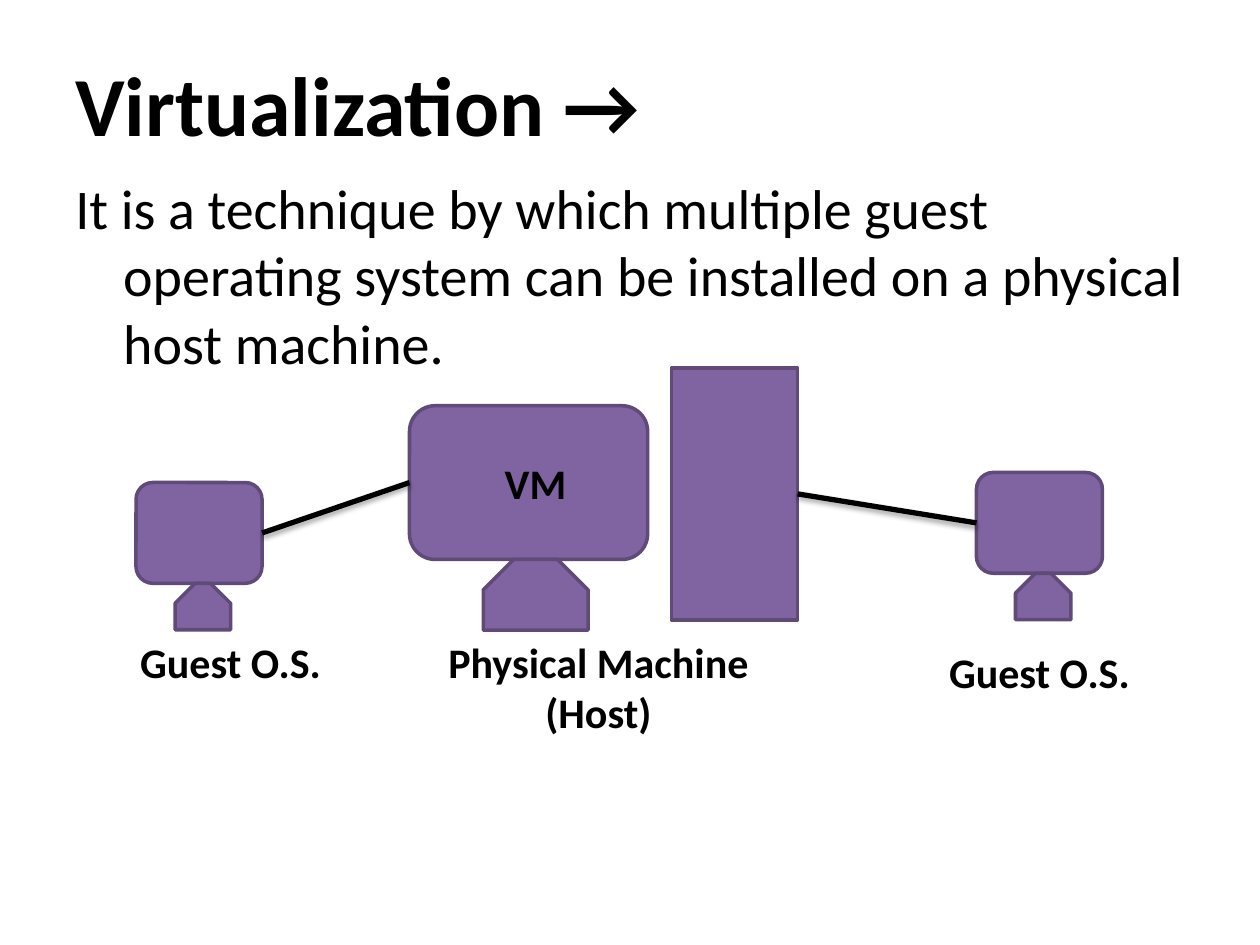
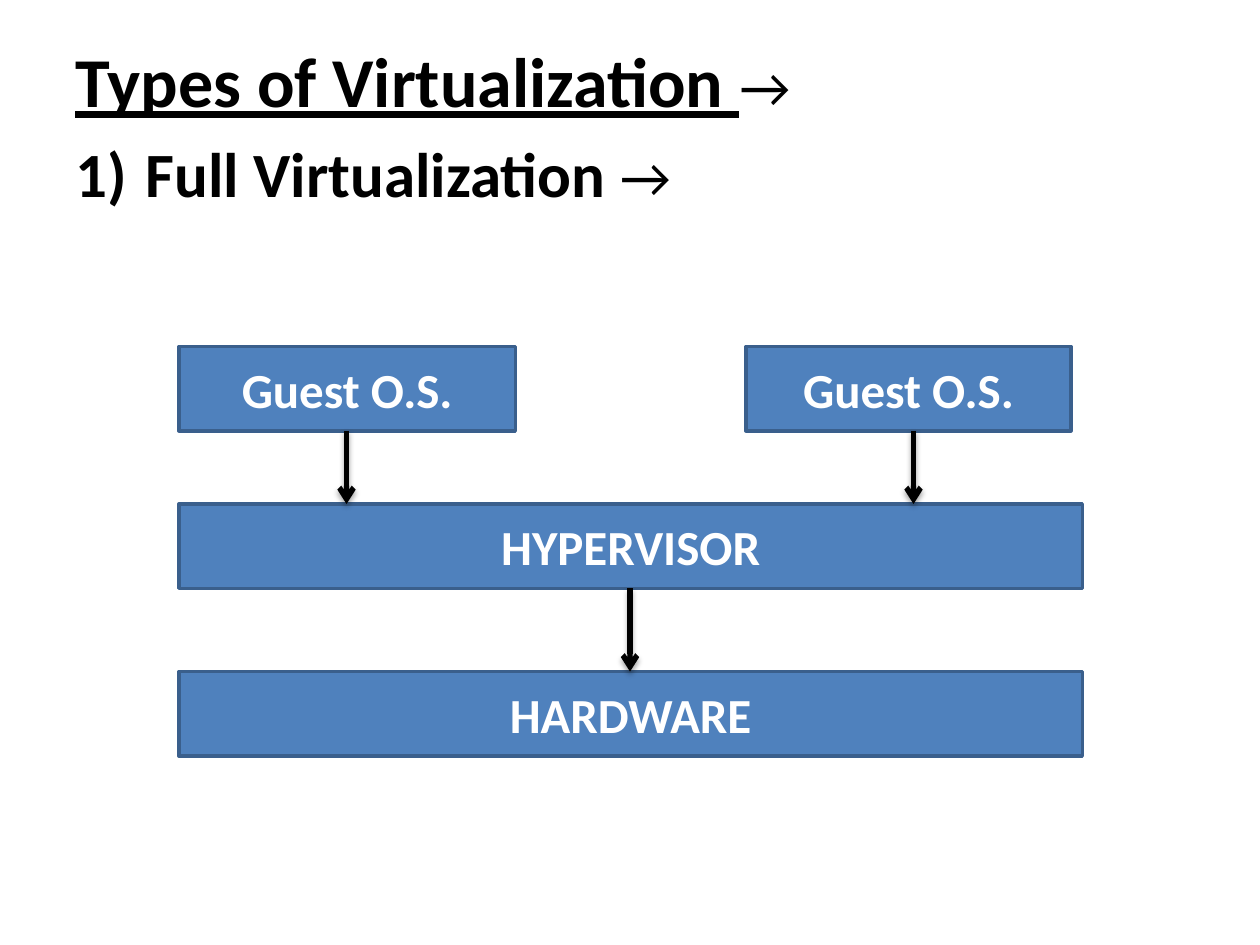
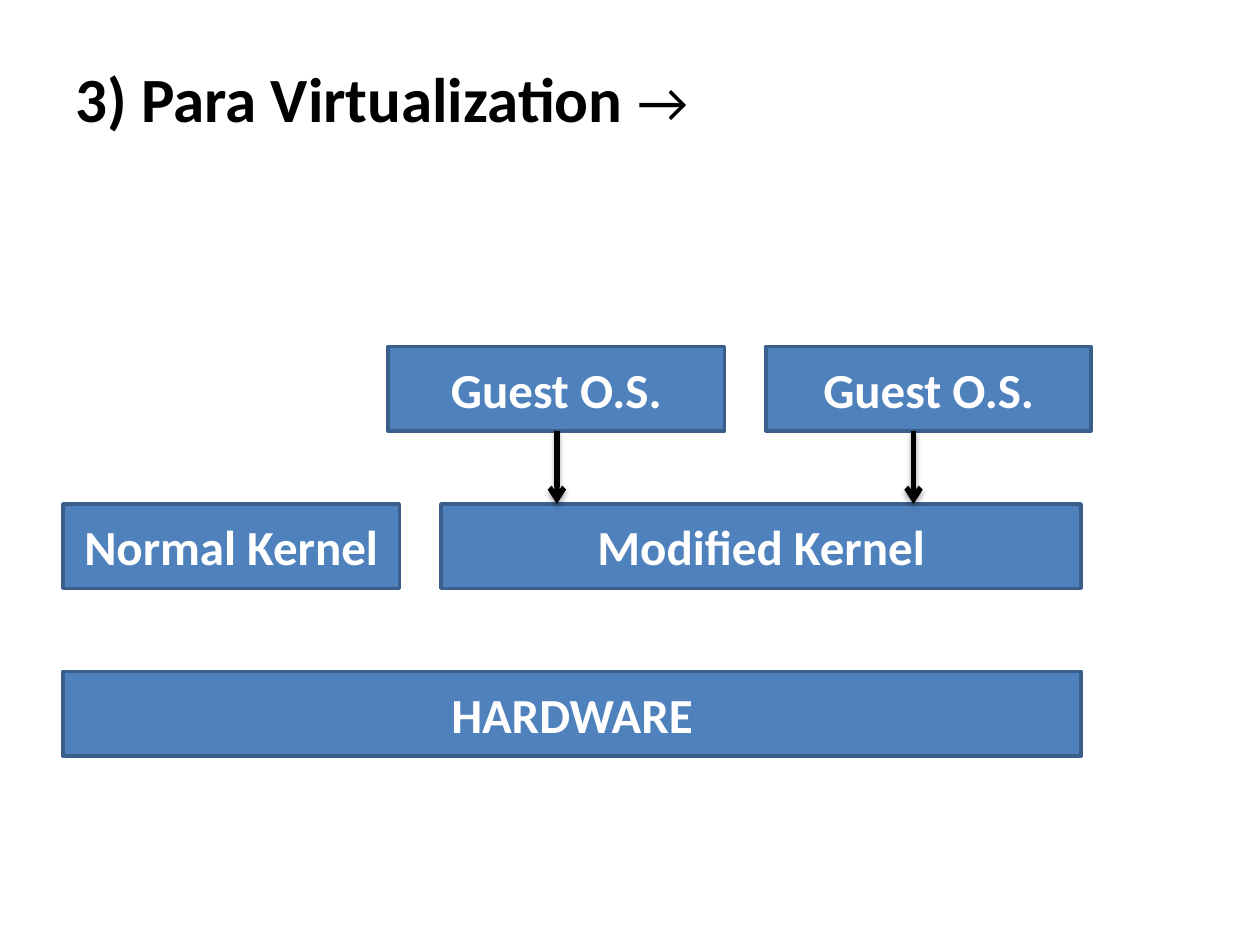
from lxml.etree import SubElement
from pptx import Presentation
from pptx.dml.color import RGBColor
from pptx.enum.shapes import MSO_CONNECTOR, MSO_SHAPE
from pptx.enum.text import MSO_ANCHOR, PP_ALIGN
from pptx.oxml.ns import qn
from pptx.util import Inches, Pt

# Shared style
FONT = "Calibri"
BLACK = RGBColor(0x00, 0x00, 0x00)
WHITE = RGBColor(0xFF, 0xFF, 0xFF)
PURPLE = RGBColor(0x80, 0x64, 0xA2)
PURPLE_EDGE = RGBColor(0x5F, 0x4A, 0x78)
BLUE = RGBColor(0x4F, 0x81, 0xBD)
BLUE_EDGE = RGBColor(0x3A, 0x5F, 0x8C)
ARROW = "\u2192"

# Rows of the layer diagrams
BOX_HEIGHT = 0.67
GUEST_TOP, KERNEL_TOP, HARDWARE_TOP = 2.75, 4, 5.33


class Deck:
    def __init__(self):
        self.presentation = Presentation()
        self.presentation.slide_width = Inches(10)
        self.presentation.slide_height = Inches(7.5)
        self.slide = None

    def new_slide(self):
        self.slide = self.presentation.slides.add_slide(self.presentation.slide_layouts[6])

    def format_run(self, run, size, bold=False, underline=False, color=BLACK):
        run.font.name = FONT
        run.font.size = Pt(size)
        run.font.bold = bold
        run.font.underline = underline
        run.font.color.rgb = color

    def text_box(self, left, top, width, height, anchor=MSO_ANCHOR.TOP):
        box = self.slide.shapes.add_textbox(
            Inches(left), Inches(top), Inches(width), Inches(height))
        box.text_frame.word_wrap = True
        box.text_frame.vertical_anchor = anchor
        return box.text_frame

    def title(self, text):
        frame = self.text_box(0.5, 0.3, 9, 1.03, MSO_ANCHOR.MIDDLE)
        frame.text = text
        self.format_run(frame.paragraphs[0].runs[0], 48, True)

    def body_paragraph(self, paragraph, runs, indent=0.38, numbered=False):
        """Each run is (text, size, bold, underline); the first line hangs."""
        paragraph.space_before = Pt(0.2 * runs[0][1])
        properties = paragraph._p.get_or_add_pPr()
        properties.set("marL", str(Inches(indent)))
        properties.set("indent", str(-Inches(indent)))
        if numbered:
            SubElement(properties, qn("a:buAutoNum"), type="arabicParenR")
        for text, *style in runs:
            run = paragraph.add_run()
            run.text = text
            self.format_run(run, *style)

    def label(self, text, left, top, width=3, height=0.5):
        frame = self.text_box(left, top, width, height)
        frame.text = text
        for paragraph in frame.paragraphs:
            paragraph.alignment = PP_ALIGN.CENTER
            self.format_run(paragraph.runs[0], 24, True)

    def shape(self, kind, left, top, width, height, fill, edge, parent=None):
        shapes = (parent or self.slide).shapes
        shape = shapes.add_shape(
            kind, Inches(left), Inches(top), Inches(width), Inches(height))
        shape.shadow.inherit = False
        shape.fill.solid()
        shape.fill.fore_color.rgb = fill
        shape.line.color.rgb = edge
        shape.line.width = Pt(2)
        return shape

    def monitor(self, left, top, width, height):
        """A screen with its stand, in proportion to the screen."""
        group = self.slide.shapes.add_group_shape()
        self.shape(MSO_SHAPE.ROUNDED_RECTANGLE, left, top, width, height,
                   PURPLE, PURPLE_EDGE, group)
        stand = self.shape(MSO_SHAPE.SNIP_2_SAME_RECTANGLE,
                           left + 0.31 * width, top + height,
                           0.44 * width, 0.46 * height,
                           PURPLE, PURPLE_EDGE, group)
        stand.adjustments[0] = 0.43
        stand.adjustments[1] = 0

    def layer(self, text, left, top, width):
        box = self.shape(MSO_SHAPE.RECTANGLE, left, top, width, BOX_HEIGHT,
                         BLUE, BLUE_EDGE)
        frame = box.text_frame
        frame.word_wrap = True
        frame.vertical_anchor = MSO_ANCHOR.MIDDLE
        frame.text = text
        frame.paragraphs[0].alignment = PP_ALIGN.CENTER
        self.format_run(frame.paragraphs[0].runs[0], 28, True, color=WHITE)

    def line(self, start_x, start_y, end_x, end_y, arrow=False):
        connector = self.slide.shapes.add_connector(
            MSO_CONNECTOR.STRAIGHT, Inches(start_x), Inches(start_y),
            Inches(end_x), Inches(end_y))
        connector.line.color.rgb = BLACK
        connector.line.width = Pt(3)
        properties = connector._element.spPr
        if arrow:
            SubElement(properties.find(qn("a:ln")), qn("a:tailEnd"), type="arrow")
        # Soft shadow straight below the line
        effects = SubElement(properties, qn("a:effectLst"))
        shadow = SubElement(effects, qn("a:outerShdw"), blurRad=str(Pt(3.1)),
                            dist=str(Pt(1.8)), dir="5400000", rotWithShape="0")
        color = SubElement(shadow, qn("a:srgbClr"), val=str(BLACK))
        SubElement(color, qn("a:alpha"), val="35000")

    def down_arrow(self, x, upper_top, lower_top):
        self.line(x, upper_top + BOX_HEIGHT, x, lower_top, arrow=True)


deck = Deck()

# Slide 1: guests connected to a host
deck.new_slide()
deck.title(f"Virtualization {ARROW}")
body = deck.text_box(0.5, 1.33, 9, 5.75)
deck.body_paragraph(body.paragraphs[0], [(
    "It is a technique by which multiple guest operating system can be "
    "installed on a physical host machine.", 32)])
deck.label("Guest O.S.", 0.33, 5)
deck.shape(MSO_SHAPE.RECTANGLE, 5.33, 2.92, 1, 2, PURPLE, PURPLE_EDGE)
deck.monitor(3.25, 3.22, 1.89, 1.22)
deck.label("Physical Machine\n(Host)", 3.25, 5, height=0.91)
deck.monitor(7.75, 3.75, 1, 0.8)
deck.label("Guest O.S.", 6.75, 5.08)
deck.monitor(1.08, 3.83, 1, 0.8)
deck.line(2.08, 4.23, 3.25, 3.83)
deck.line(6.33, 3.92, 7.75, 4.15)
deck.label("VM", 3.75, 3.58, width=1)

# Slide 2: full virtualization
deck.new_slide()
body = deck.text_box(0.5, 0.25, 9, 6.45)
deck.body_paragraph(body.paragraphs[0], [
    ("Types of Virtualization ", 40, True, True), (ARROW, 32)])
deck.body_paragraph(body.add_paragraph(), [
    ("Full Virtualization ", 36, True), (ARROW, 32)], indent=0.56, numbered=True)
deck.layer("HYPERVISOR", 1.42, KERNEL_TOP, 7.17)
deck.layer("HARDWARE", 1.42, HARDWARE_TOP, 7.17)
deck.layer("Guest O.S.", 1.42, GUEST_TOP, 2.67)
deck.layer("Guest O.S.", 5.92, GUEST_TOP, 2.58)
for x in (2.75, 7.25):
    deck.down_arrow(x, GUEST_TOP, KERNEL_TOP)
deck.down_arrow(5, KERNEL_TOP, HARDWARE_TOP)

# Slide 3: para virtualization
deck.new_slide()
body = deck.text_box(0.5, 0.42, 9, 6.28)
deck.body_paragraph(body.paragraphs[0], [
    ("3) Para Virtualization ", 36, True), (ARROW, 32)])
deck.layer("Modified Kernel", 3.5, KERNEL_TOP, 5.08)
deck.layer("HARDWARE", 0.5, HARDWARE_TOP, 8.08)
deck.layer("Guest O.S.", 3.08, GUEST_TOP, 2.67)
deck.layer("Guest O.S.", 6.08, GUEST_TOP, 2.58)
for x in (4.42, 7.25):
    deck.down_arrow(x, GUEST_TOP, KERNEL_TOP)
deck.layer("Normal Kernel", 0.5, KERNEL_TOP, 2.67)

deck.presentation.save("out.pptx")
